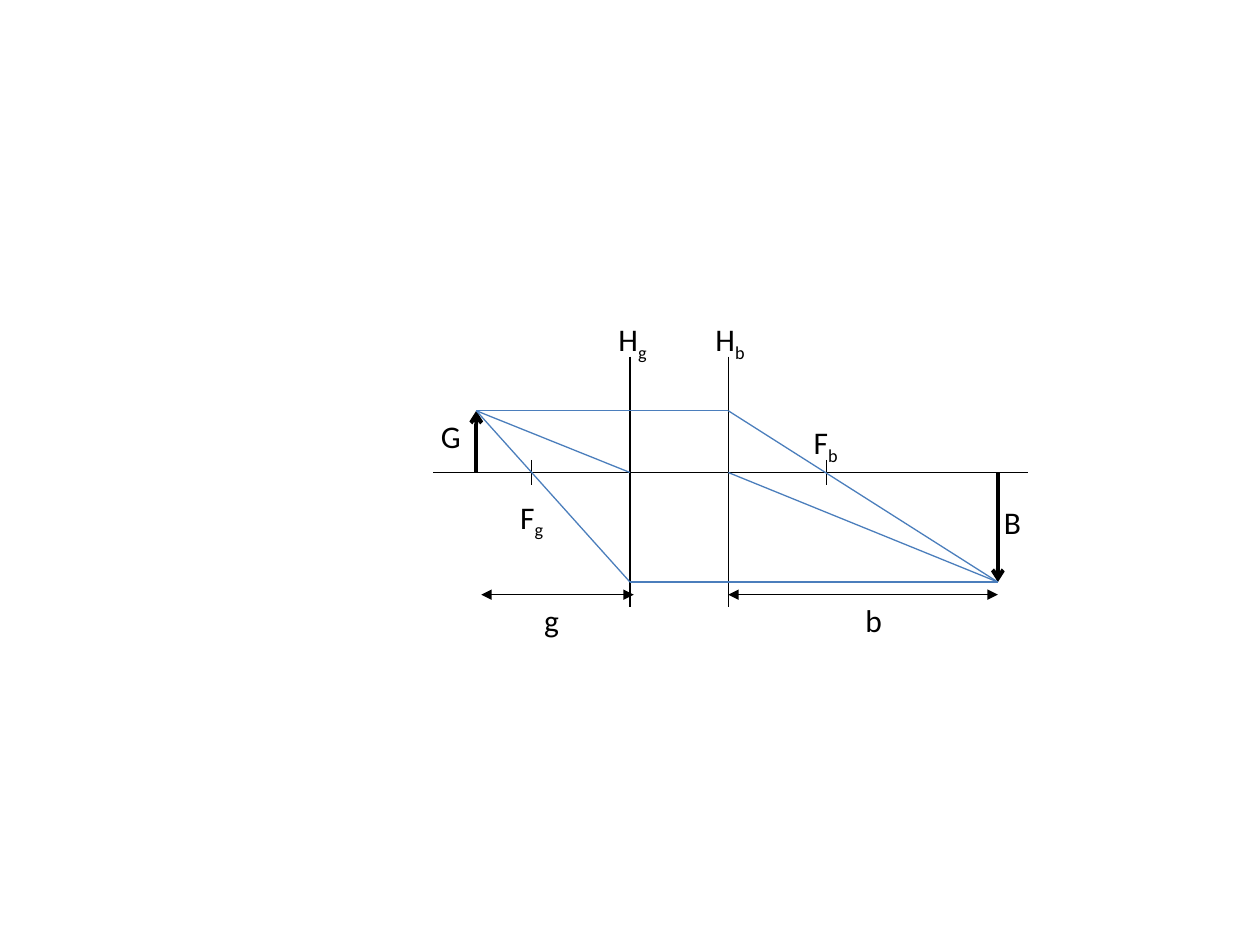
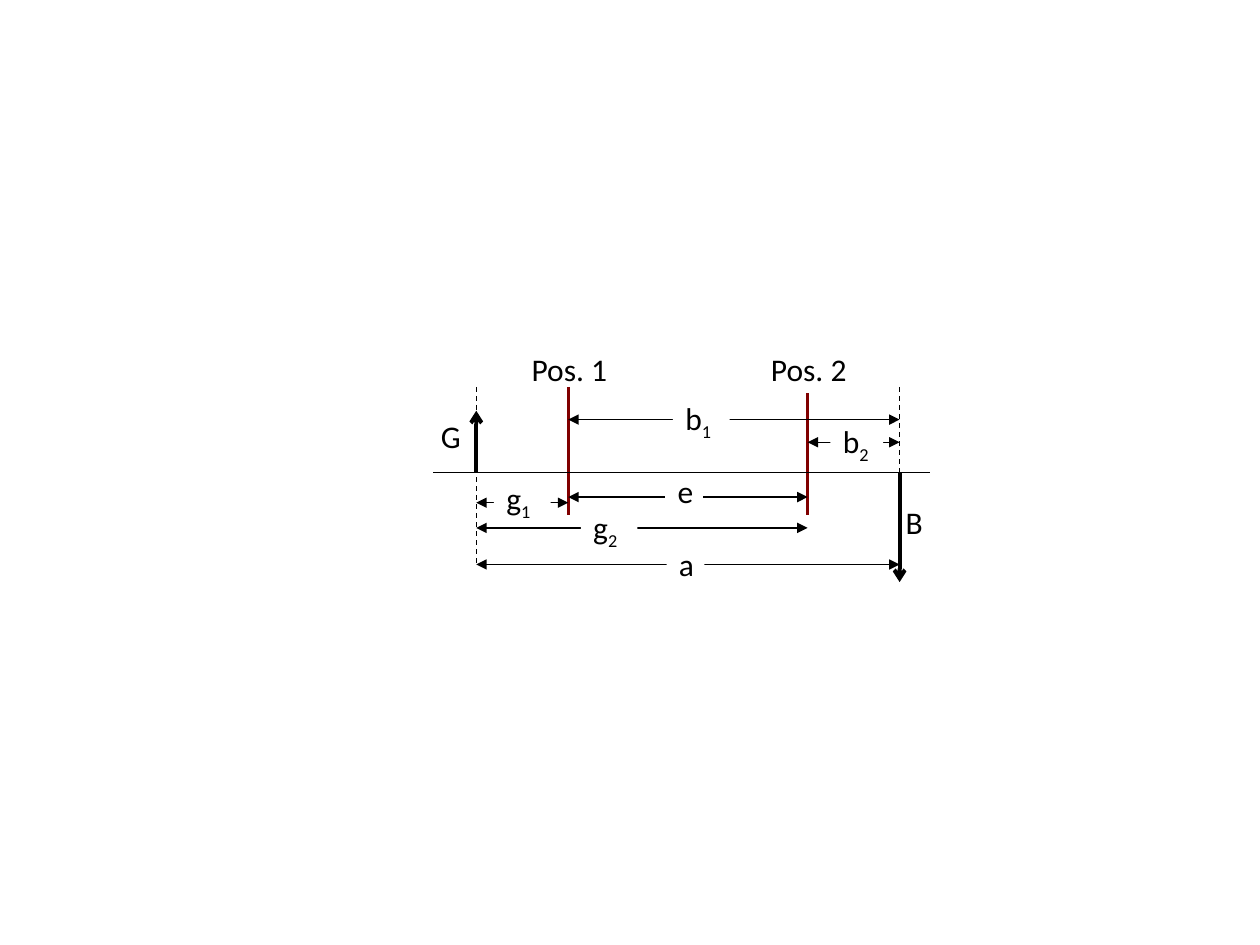
from lxml.etree import SubElement as Sub
from pptx import Presentation
from pptx.dml.color import RGBColor as RGB
from pptx.enum.dml import MSO_LINE as Dash
from pptx.enum.shapes import MSO_CONNECTOR as Conn, MSO_SHAPE as Shape
from pptx.enum.text import MSO_ANCHOR as Anchor, MSO_AUTO_SIZE as Fit, PP_ALIGN as Align
from pptx.oxml.ns import qn
from pptx.util import Inches, Pt

WHITE = RGB(0xFF, 0xFF, 0xFF)
BLACK = RGB(0x00, 0x00, 0x00)
BLUE = RGB(0x4B, 0x7E, 0xBC)
RED = RGB(0x80, 0x00, 0x00)
FONT, SIZE = "Calibri", 18
THIN, LENS, BOLD = 0.75, 1.5, 2.25

# The grid has 100 columns and 75 rows of equal square cells.
COLS, ROWS = 100, 75
AXIS, TOP, TIP = 37.5, 32.6, 46.2  # rows: optical axis, object tip, image tip
LEFT = 37.8                        # column of the object
HIGH = 4                           # rows of a label


class Sketch:
    def __init__(self):
        self.deck = Presentation()
        self.deck.slide_width, self.deck.slide_height = Inches(10), Inches(7.5)
        self.wide = self.deck.slide_width / COLS
        self.tall = self.deck.slide_height / ROWS

    def spot(self, col, row):
        return round(col * self.wide), round(row * self.tall)

    def page(self, width, height):
        """Start a slide with a white panel behind the drawing."""
        self.slide = self.deck.slides.add_slide(self.deck.slide_layouts[6])
        panel = self.block(33, 23.9, width, height)
        panel.line.color.rgb = WHITE
        panel.line.width = Pt(2)

    def block(self, col, row, width, height):
        box = self.slide.shapes.add_shape(
            Shape.RECTANGLE, *self.spot(col, row), *self.spot(width, height))
        box.shadow.inherit = False
        box.fill.solid()
        box.fill.fore_color.rgb = WHITE
        box.line.fill.background()
        return box

    def line(self, start, end, color=BLACK, width=THIN, head=None, tail=None, dash=None):
        link = self.slide.shapes.add_connector(
            Conn.STRAIGHT, *self.spot(*start), *self.spot(*end))
        link.line.color.rgb = color
        link.line.width = Pt(width)
        if dash:
            link.line.dash_style = dash
        stroke = link._element.spPr.find(qn("a:ln"))
        for tag, kind in (("a:headEnd", head), ("a:tailEnd", tail)):
            if kind:
                Sub(stroke, qn(tag)).set("type", kind)
        Sub(link._element.spPr, qn("a:effectLst"))

    def mast(self, col, top, base, **style):
        self.line((col, top), (col, base), **style)

    def arrow(self, col, row):
        """Draw an object or image that stands on the axis."""
        self.mast(col, AXIS, row, width=BOLD, tail="arrow")

    def rays(self, *points):
        for start, end in zip(points, points[1:]):
            self.line(start, end, color=BLUE)

    def letter(self, box, text, low, wrap):
        """Put text with an optional subscript into a box."""
        frame = box.text_frame
        frame.word_wrap = wrap
        frame.auto_size = Fit.SHAPE_TO_FIT_TEXT
        frame.vertical_anchor = Anchor.TOP
        para = frame.paragraphs[0]
        para.alignment = Align.LEFT
        for part, base in ((text, 0), (low, -25000)):
            if part:
                run = para.add_run()
                run.text = part
                run.font.name, run.font.size = FONT, Pt(SIZE)
                run.font.color.rgb = BLACK
                if base:
                    run._r.get_or_add_rPr().set("baseline", str(base))

    def label(self, col, row, width, text, low=""):
        box = self.slide.shapes.add_textbox(
            *self.spot(col, row), *self.spot(width, HIGH))
        self.letter(box, text, low, False)

    def span(self, start, end, row):
        self.line((start, row), (end, row), head="triangle", tail="triangle")

    def gauge(self, start, end, row, col, top, width, text, low=""):
        """Draw a span whose label interrupts its line."""
        self.span(start, end, row)
        self.letter(self.block(col, top, width, HIGH), text, low, True)

    def scene(self, image, end):
        """Draw the axis, object and image that both slides share."""
        self.line((34.4, AXIS), (end, AXIS))
        self.arrow(LEFT, TOP)
        self.arrow(image, TIP)
        self.label(34, 32.6, 3.6, "G")
        self.label(image - 0.5, 39.4, 3.4, "B")


def draw_planes(art):
    front, back, image = 50, 57.8, 79.2
    art.page(54.9, 28.7)
    art.scene(image, 81.6)
    for plane in (front, back):
        art.mast(plane, 28.3, 48.2)
    for focus in (42.2, 65.6):
        art.mast(focus, AXIS - 1, AXIS + 1)
    tip, end = (LEFT, TOP), (image, TIP)
    art.rays(tip, (back, TOP), end)
    art.rays(tip, (front, TIP), end)
    art.rays(tip, (front, AXIS))
    art.rays((back, AXIS), end)
    art.span(38.2, 50.3, 47.2)
    art.span(back, image, 47.2)
    for note in ((40.3, 39, 4, "F", "g"), (63.6, 33.1, 4.1, "F", "b"),
                 (48.1, 24.9, 4.4, "H", "g"), (55.8, 24.9, 4.5, "H", "b"),
                 (42.2, 47.2, 3.2, "g"), (67.7, 47.2, 3.4, "b")):
        art.label(*note)


def draw_shift(art):
    first, second, image = 45.1, 64.1, 71.4
    art.page(42.3, 25.3)
    for lens, top, name in ((first, 30.7, "Pos. 1"), (second, 31.2, "Pos. 2")):
        art.mast(lens, top, 40.9, color=RED, width=LENS)
        art.label(lens - 3.9, 27.3, 8.1, name)
    for edge in (LEFT, image):
        art.mast(edge, 30.7, 44.8, dash=Dash.DASH)
    for part in ((LEFT, first, 39.9, 39.2, 37.5, 4.5, "g", "1"),
                 (second, image, 35.1, 65.9, 33, 4.2, "b", "2"),
                 (LEFT, second, 41.9, 46.1, 39.8, 4.5, "g", "2"),
                 (first, image, 33.3, 53.4, 31.2, 4.5, "b", "1"),
                 (first, second, 39.45, 52.8, 37, 3, "e"),
                 (LEFT, image, 44.8, 52.9, 42.8, 3, "a")):
        art.gauge(*part)
    art.scene(image, 73.8)


def main():
    art = Sketch()
    draw_planes(art)
    draw_shift(art)
    art.deck.save("out.pptx")


if __name__ == "__main__":
    main()
